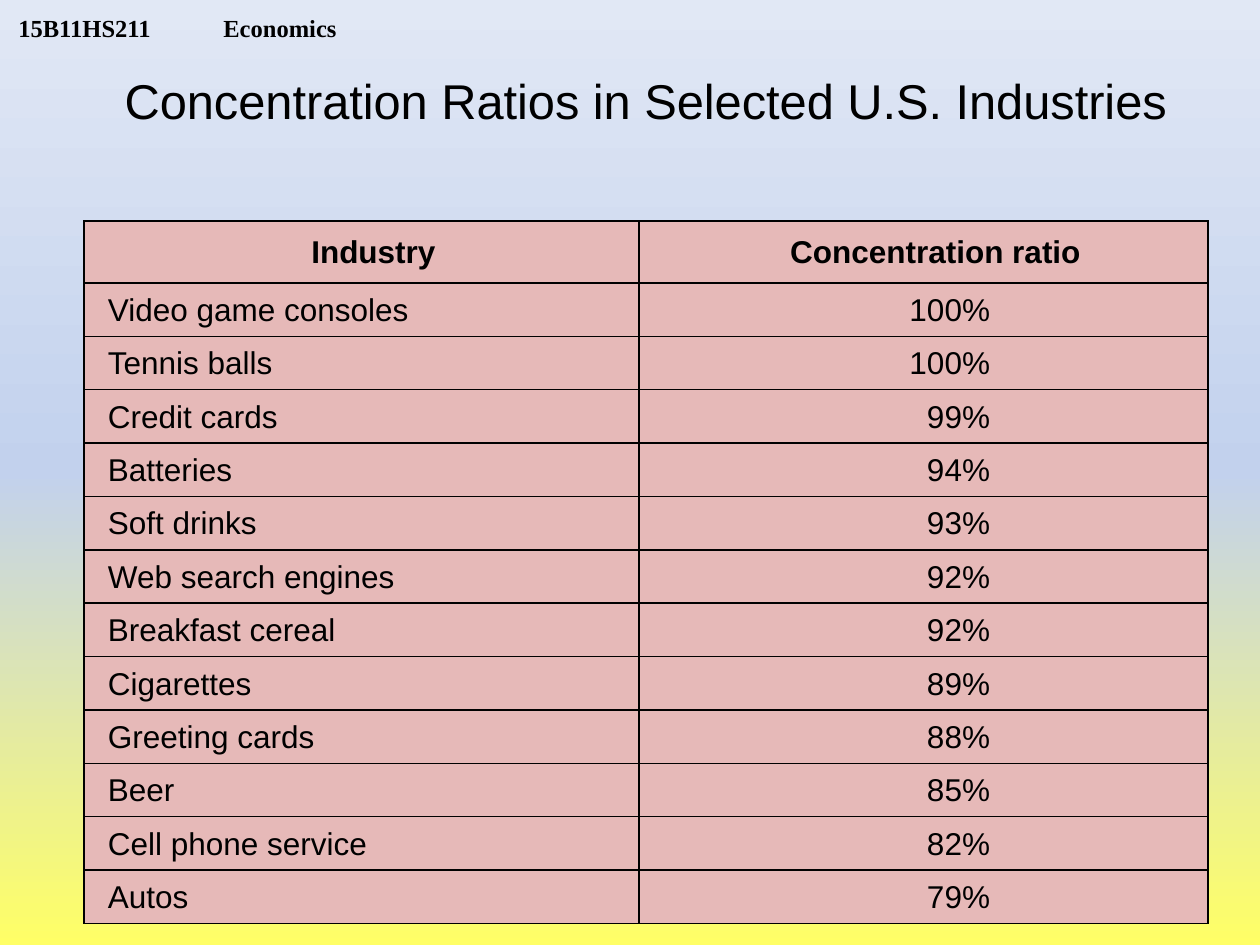
"""Build the slide on concentration ratios in selected U.S. industries."""
from lxml import etree
from copy import deepcopy
from pptx import Presentation
from pptx import util as u
from pptx.dml.color import RGBColor
from pptx.enum import text
from pptx.oxml.ns import qn

COURSE = "15B11HS211\tEconomics"
TITLE = "Concentration Ratios in Selected U.S. Industries"
HEADINGS = ("Industry", "Concentration ratio")
RATIOS = [
    ("Video game consoles", 100),
    ("Tennis balls", 100),
    ("Credit cards", 99),
    ("Batteries", 94),
    ("Soft drinks", 93),
    ("Web search engines", 92),
    ("Breakfast cereal", 92),
    ("Cigarettes", 89),
    ("Greeting cards", 88),
    ("Beer", 85),
    ("Cell phone service", 82),
    ("Autos", 79),
]
SKY = [(0, "FFFF66"), (0.5, "C2D1ED"), (1, "E1E8F5")]
INK, PINK = "000000", "E6B9B8"
LEFT, WIDTH = 84, 1124
TABLE_TOP, TABLE_HEIGHT, HEADING_HEIGHT = 221, 703, 62
COLUMNS = (555, 569)
CELL_LEFT, RATIO_RIGHT = 24, 218
COURSE_TAB = 205
ALIGN = text.PP_ALIGN


def px(length):
    return u.Emu(round(length * 914400 / 126))


def colour(value):
    return RGBColor.from_string(value)


def write(paragraph, words, size, font="Arial", bold=False, align=ALIGN.LEFT):
    paragraph.alignment = align
    run = paragraph.add_run()
    run.text = words
    run.font.size, run.font.name, run.font.bold = u.Pt(size), font, bold
    run.font.color.rgb = colour(INK)


def add_line(slide, box, anchor, inset):
    frame = slide.shapes.add_textbox(*map(px, box)).text_frame
    frame.word_wrap = True
    frame.vertical_anchor = anchor
    frame.margin_top = frame.margin_bottom = px(inset)
    return frame.paragraphs[0]


def paint_background(slide):
    fill = slide.background.fill
    fill.gradient()
    fill.gradient_angle = 90
    stops = slide.element.find(".//" + qn("a:gsLst"))
    stops.append(deepcopy(stops[0]))
    for stop, (position, shade) in zip(fill.gradient_stops, SKY):
        stop.position = position
        stop.color.rgb = colour(shade)


def add_borders(cell):
    properties = cell._tc.get_or_add_tcPr()
    for index, side in enumerate(("lnL", "lnR", "lnT", "lnB")):
        line = etree.Element(qn("a:" + side), w=str(u.Pt(1)))
        ink = etree.SubElement(line, qn("a:solidFill"))
        etree.SubElement(ink, qn("a:srgbClr"), val=INK)
        properties.insert(index, line)


def fill_cell(cell, words, bold, align, right):
    cell.fill.solid()
    cell.fill.fore_color.rgb = colour(PINK)
    cell.vertical_anchor = text.MSO_ANCHOR.MIDDLE
    cell.margin_left, cell.margin_right = px(CELL_LEFT), px(right)
    cell.margin_top = cell.margin_bottom = 0
    paragraph = cell.text_frame.paragraphs[0]
    paragraph.line_spacing = 1.05
    write(paragraph, words, 18, bold=bold, align=align)
    add_borders(cell)


def add_ratios(slide):
    table = slide.shapes.add_table(
        len(RATIOS) + 1, len(HEADINGS),
        *map(px, (LEFT, TABLE_TOP, WIDTH, TABLE_HEIGHT))).table
    for column, width in zip(table.columns, COLUMNS):
        column.width = px(width)
    for row in table.rows:
        row.height = px((TABLE_HEIGHT - HEADING_HEIGHT) / len(RATIOS))
    table.rows[0].height = px(HEADING_HEIGHT)
    for index, heading in enumerate(HEADINGS):
        fill_cell(table.cell(0, index), heading, True, ALIGN.CENTER, 0)
    for index, (industry, ratio) in enumerate(RATIOS, 1):
        fill_cell(table.cell(index, 0), industry, False, ALIGN.LEFT, 0)
        fill_cell(table.cell(index, 1), f"{ratio}%", False, ALIGN.RIGHT, RATIO_RIGHT)


def main():
    deck = Presentation()
    deck.slide_width, deck.slide_height = px(1260), px(945)
    slide = deck.slides.add_slide(deck.slide_layouts[6])
    paint_background(slide)
    course = add_line(slide, (6, 0, 403, 42), text.MSO_ANCHOR.BOTTOM, 0)
    tabs = etree.SubElement(course._p.get_or_add_pPr(), qn("a:tabLst"))
    etree.SubElement(tabs, qn("a:tab"), pos=str(px(COURSE_TAB)), algn="l")
    write(course, COURSE, 14, "Times New Roman", True)
    title = add_line(slide, (LEFT, 32, WIDTH, 136), text.MSO_ANCHOR.MIDDLE, 6)
    write(title, TITLE, 27.9, align=ALIGN.CENTER)
    add_ratios(slide)
    deck.save("out.pptx")


if __name__ == "__main__":
    main()
